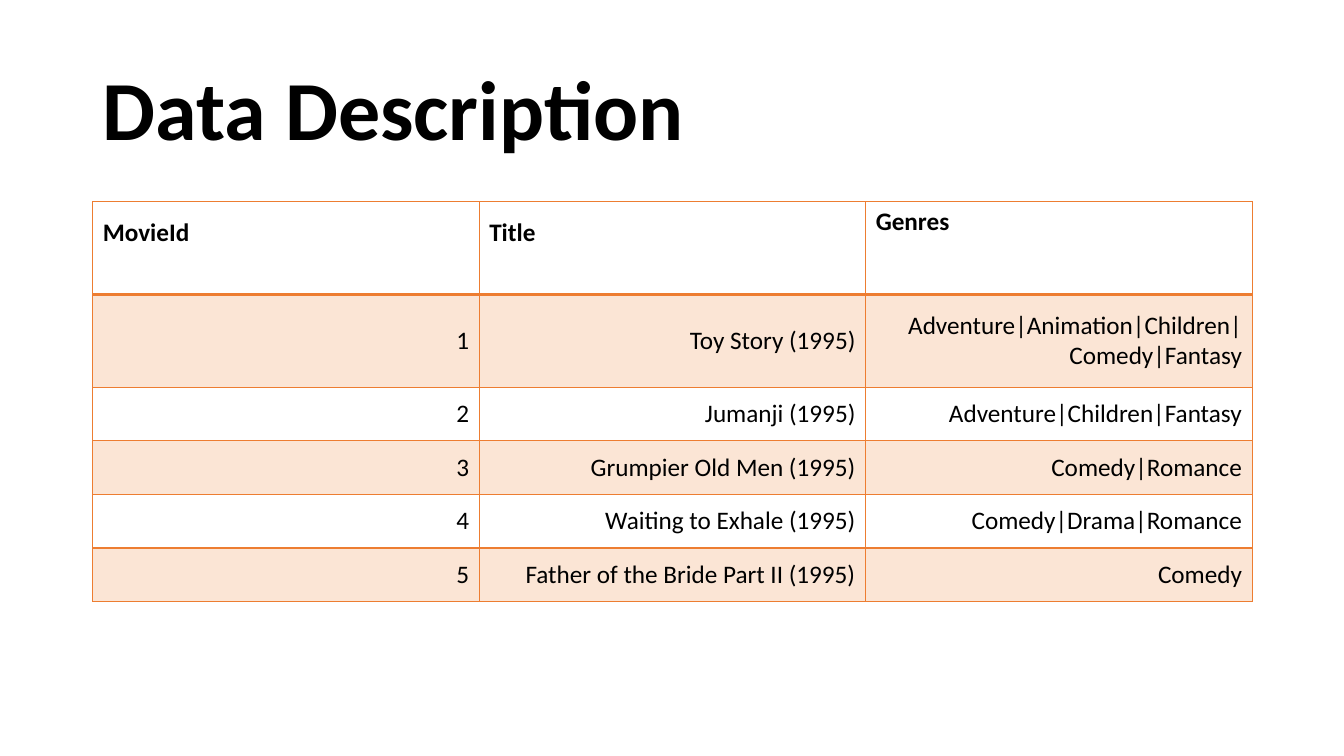
import pptx
import pptx.dml.color
import pptx.enum.text
import pptx.oxml
import pptx.oxml.ns
import pptx.util
import lxml.etree

RGBColor = pptx.dml.color.RGBColor
BLACK = RGBColor(0x00, 0x00, 0x00)
ORANGE = RGBColor(0xED, 0x7D, 0x31)
ALIGN = pptx.enum.text.PP_ALIGN
ANCHOR = pptx.enum.text.MSO_ANCHOR
qn = pptx.oxml.ns.qn

# Shares of the slide, in percent
LEFT, WIDTH = 6.9, 86.27
HEAD, BODY = 12.27, 7.1

FILMS = [
    ("MovieId", "Title", "Genres"),
    ("1", "Toy Story (1995)", "Adventure|Animation|Children|Comedy|Fantasy"),
    ("2", "Jumanji (1995)", "Adventure|Children|Fantasy"),
    ("3", "Grumpier Old Men (1995)", "Comedy|Romance"),
    ("4", "Waiting to Exhale (1995)", "Comedy|Drama|Romance"),
    ("5", "Father of the Bride Part II (1995)", "Comedy"),
]


class Deck:
    font = "Calibri"

    def __init__(self):
        self.prs = pptx.Presentation()
        self.prs.slide_width = pptx.util.Inches(13.33)
        self.prs.slide_height = pptx.util.Inches(7.5)
        self.slide = self.prs.slides.add_slide(self.prs.slide_layouts[5])

    def wide(self, share):
        return int(self.prs.slide_width * share / 100)

    def high(self, share):
        return int(self.prs.slide_height * share / 100)

    def label(self, frame, text, size, bold, align):
        frame.text = text
        line = frame.paragraphs[0]
        line.alignment = align
        for run in line.runs:
            run.font.name = self.font
            run.font.size = pptx.util.Pt(size)
            run.font.bold = bold
            run.font.color.rgb = BLACK
        return line

    def title(self, text, top, height):
        box = self.slide.shapes.title
        box.left, box.top = self.wide(LEFT), self.high(top)
        box.width, box.height = self.wide(WIDTH), self.high(height)
        box.text_frame.vertical_anchor = ANCHOR.MIDDLE
        line = self.label(box.text_frame, text, 60, True, ALIGN.LEFT)
        line.line_spacing = 0.9

    def border(self, cell, side, width):
        props = cell._tc.get_or_add_tcPr()
        edge = lxml.etree.SubElement(props, qn("a:ln" + side))
        edge.set("w", str(pptx.util.Pt(width)))
        fill = lxml.etree.SubElement(edge, qn("a:solidFill"))
        lxml.etree.SubElement(fill, qn("a:srgbClr")).set("val", str(ORANGE))

    def tint(self, cell, share):
        cell.fill.solid()
        cell.fill.fore_color.rgb = ORANGE
        color = cell._tc.tcPr.find(qn("a:solidFill")).find(qn("a:srgbClr"))
        lxml.etree.SubElement(color, qn("a:alpha")).set("val", str(share * 1000))

    def table(self, rows, top, heights):
        frame = self.slide.shapes.add_table(
            len(rows), len(rows[0]), self.wide(LEFT), self.high(top),
            self.wide(WIDTH), self.high(sum(heights)))
        grid = frame.table
        grid.first_row = grid.horz_banding = False
        for row, height in zip(grid.rows, heights):
            row.height = self.high(height)
        for r, texts in enumerate(rows):
            for c, text in enumerate(texts):
                cell = grid.cell(r, c)
                head = r == 0
                self.label(cell.text_frame, text, 18, head,
                           ALIGN.JUSTIFY if head else ALIGN.RIGHT)
                cell.vertical_anchor = ANCHOR.MIDDLE
                # The rule under the header is heavier
                for side in "LRTB":
                    heavy = (r, side) in ((0, "B"), (1, "T"))
                    self.border(cell, side, 2 if heavy else 1)
                if r % 2:
                    self.tint(cell, 20)
                else:
                    cell.fill.background()
        return grid


def main():
    deck = Deck()

    # Heading
    deck.title("Data Description", 5.33, 19.33)

    # Sample of the film list
    grid = deck.table(FILMS, 26.67, [HEAD, HEAD] + [BODY] * 4)

    # Header labels sit above the middle, the last one at the top
    for c in (0, 1):
        grid.cell(0, c).margin_bottom = pptx.util.Inches(0.36)
    grid.cell(0, 2).vertical_anchor = ANCHOR.TOP

    deck.prs.save("out.pptx")


if __name__ == "__main__":
    main()
